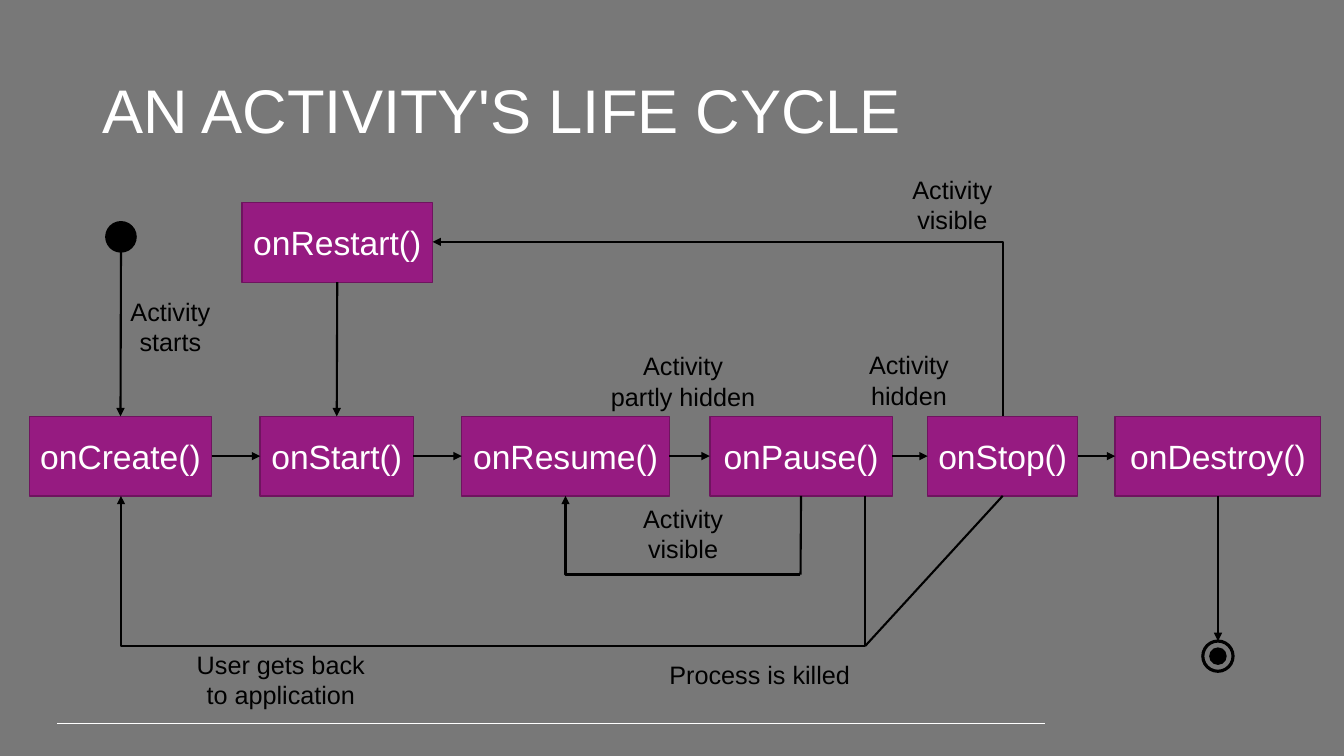
from lxml.etree import SubElement
from pptx import Presentation
from pptx.dml.color import RGBColor
from pptx.enum.shapes import MSO_CONNECTOR as LINK, MSO_SHAPE as SHAPE
from pptx.enum.text import MSO_ANCHOR as ANCHOR, MSO_AUTO_SIZE as FIT, PP_ALIGN as ALIGN
from pptx.oxml.ns import qn
from pptx.util import Inches, Pt

WHITE, BLACK, GREY = "FFFFFF", "000000", "787878"
PURPLE, DARK_PURPLE = "961B81", "6F145F"
TOP, LEFT, BOTTOM, RIGHT = range(4)
ROW_TOP, STATE_HEIGHT = 4.13, 0.79
ROW_BOTTOM = ROW_TOP + STATE_HEIGHT


def color(value):
    return RGBColor.from_string(value)


class LifeCycleSlide:
    font = "Arial"

    def __init__(self, deck):
        self.slide = deck.slides.add_slide(deck.slide_layouts[6])
        self.shapes = self.slide.shapes
        background = self.slide.background.fill
        background.solid()
        background.fore_color.rgb = color(GREY)

    def set_text(self, shape, text, size, ink, align, **frame_format):
        frame = shape.text_frame
        for name, value in frame_format.items():
            setattr(frame, name, value)
        paragraph = frame.paragraphs[0]
        paragraph.text = text
        paragraph.alignment = align
        for name, value in {"name": self.font, "size": Pt(size)}.items():
            setattr(paragraph.font, name, value)
        paragraph.font.color.rgb = color(ink)
        return paragraph

    def outlined(self, kind, box, fill, line, weight):
        """Add a preset shape; a fill of None leaves it hollow."""
        shape = self.shapes.add_shape(kind, *map(Inches, box))
        shape.shadow.inherit = False
        if fill:
            shape.fill.solid()
            shape.fill.fore_color.rgb = color(fill)
        else:
            shape.fill.background()
        shape.line.color.rgb = color(line)
        shape.line.width = Pt(weight)
        return shape

    def title(self, text, box):
        shape = self.shapes.add_textbox(*map(Inches, box))
        paragraph = self.set_text(shape, text, 44, WHITE, ALIGN.LEFT, word_wrap=True,
                                  vertical_anchor=ANCHOR.MIDDLE)
        paragraph.line_spacing = 0.9

    def state(self, text, left, width, top=ROW_TOP):
        shape = self.outlined(SHAPE.RECTANGLE, (left, top, width, STATE_HEIGHT),
                              PURPLE, DARK_PURPLE, 1)
        self.set_text(shape, text, 24, WHITE, ALIGN.CENTER, word_wrap=False,
                      vertical_anchor=ANCHOR.MIDDLE)
        return shape

    def label(self, text, left, top, width, height=0.71):
        shape = self.shapes.add_textbox(*map(Inches, (left, top, width, height)))
        self.set_text(shape, text, 18, BLACK, ALIGN.CENTER, word_wrap=True,
                      auto_size=FIT.SHAPE_TO_FIT_TEXT)

    def dot(self, center_x, center_y, size, fill=BLACK, weight=1):
        box = (center_x - size / 2, center_y - size / 2, size, size)
        self.outlined(SHAPE.OVAL, box, fill, BLACK, weight)

    def line(self, start, end, arrow=None, kind=LINK.STRAIGHT, ink=BLACK, weight=1.5):
        """Link two ends, each a point (x, y) or a (state, side) pair."""
        start_joins, end_joins = (hasattr(place[0], "shape_id") for place in (start, end))
        start_point = (0, 0) if start_joins else start
        end_point = (0, 0) if end_joins else end
        link = self.shapes.add_connector(kind, *map(Inches, start_point + end_point))
        if start_joins:
            link.begin_connect(*start)
        if end_joins:
            link.end_connect(*end)
        link.line.color.rgb = color(ink)
        link.line.width = Pt(weight)
        properties = link.element.spPr
        if arrow:
            SubElement(properties.find(qn("a:ln")), qn(f"a:{arrow}"), type="triangle")
        SubElement(properties, qn("a:effectLst"))
        return link

    def corner(self, start, end, arrow="tailEnd"):
        """Run level from start, then turn once towards end."""
        link = self.line(start, end, arrow, LINK.ELBOW)
        link.element.spPr.find(qn("a:prstGeom")).set("prst", "bentConnector2")


def main():
    deck = Presentation()
    deck.slide_width, deck.slide_height = Inches(13.33), Inches(7.5)
    page = LifeCycleSlide(deck)
    page.line((0.57, 7.18), (10.36, 7.18), ink=WHITE, weight=0.75)
    page.title("AN ACTIVITY'S LIFE CYCLE", (0.92, 0.4, 11.5, 1.45))

    row = [page.state(*entry) for entry in (
        ("onCreate()", 0.29, 1.81),
        ("onStart()", 2.58, 1.52),
        ("onResume()", 4.58, 2.06),
        ("onPause()", 7.04, 1.81),
        ("onStop()", 9.2, 1.49),
        ("onDestroy()", 11.06, 2.04),
    )]
    create, start, resume, pause, stop, destroy = row
    restart = page.state("onRestart()", 2.4, 1.89, top=2.01)

    page.dot(1.2, 2.35, 0.3)
    page.dot(12.08, 6.51, 0.3, fill=None, weight=2.25)
    page.dot(12.08, 6.51, 0.16)

    for before, after in zip(row, row[1:]):
        page.line((before, RIGHT), (after, LEFT), "tailEnd")
    page.line((1.2, 2.5), (create, TOP), "tailEnd")
    page.line((restart, BOTTOM), (start, TOP), "tailEnd")
    page.line((destroy, BOTTOM), (12.08, 6.36), "tailEnd")

    page.corner((4.29, 2.4), (9.95, ROW_TOP), "headEnd")
    page.line((pause, BOTTOM), (7.94, 5.7))
    page.corner((7.94, 5.7), (5.61, ROW_BOTTOM))
    killed = (8.58, 6.41)
    page.line((8.58, ROW_BOTTOM), killed)
    page.line((stop, BOTTOM), killed)
    page.corner(killed, (1.2, ROW_BOTTOM))

    for entry in (
        ("Activity\nstarts", 1.15, 2.89, 1.08),
        ("Activity\npartly hidden", 5.81, 3.43, 1.93),
        ("Activity\nhidden", 8.42, 3.42, 1.19),
        ("Activity\nvisible", 8.85, 1.68, 1.19),
        ("Activity\nvisible", 6.18, 4.94, 1.19),
        ("Process is killed", 6.48, 6.49, 2.11, 0.4),
        ("User gets back to application", 1.73, 6.39, 2.11),
    ):
        page.label(*entry)

    deck.save("out.pptx")


if __name__ == "__main__":
    main()
